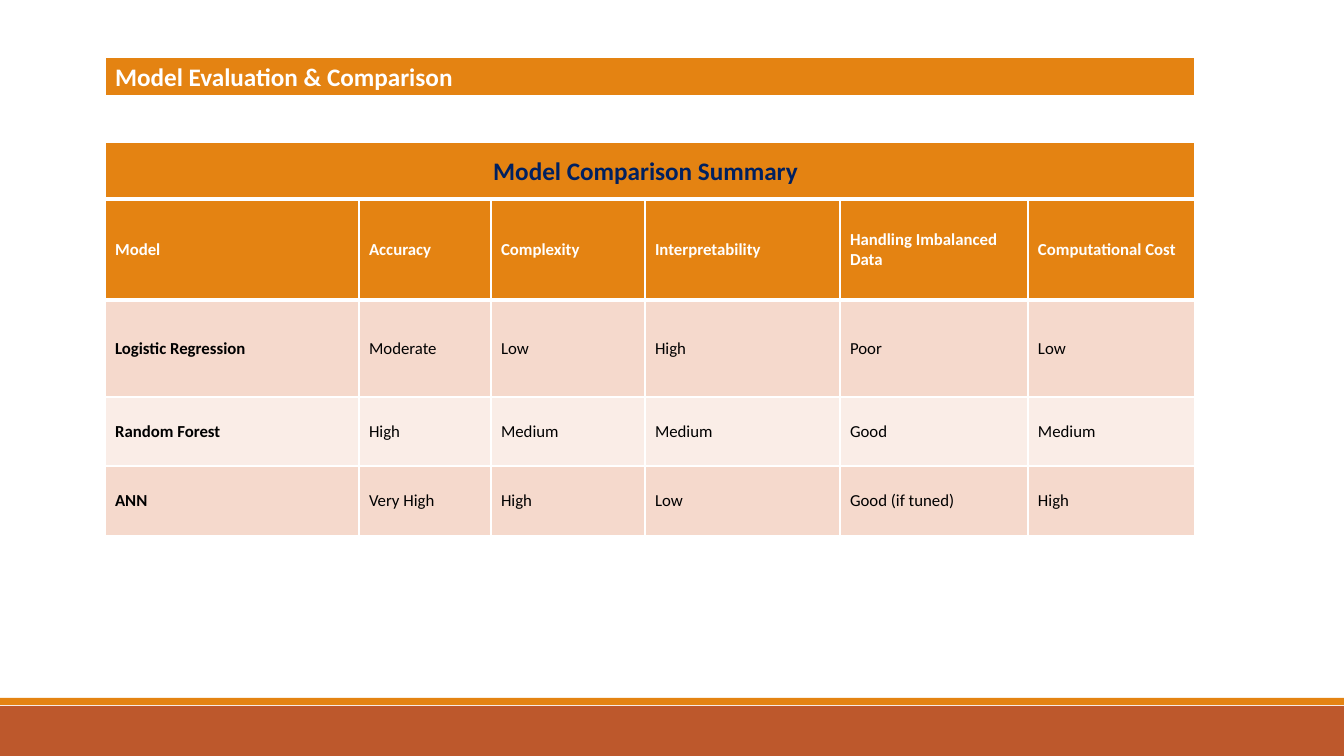
from lxml import etree
from pptx import Presentation
from pptx import util as u
from pptx.dml.color import RGBColor
from pptx.enum import shapes, text
from pptx.oxml.ns import qn

WHITE = RGBColor(0xFF, 0xFF, 0xFF)
BLACK = RGBColor(0x00, 0x00, 0x00)
NAVY = RGBColor(0x00, 0x20, 0x60)
ORANGE = RGBColor(0xE4, 0x83, 0x12)
RUST = RGBColor(0xBD, 0x58, 0x2C)
PEACH = RGBColor(0xF5, 0xD9, 0xCC)
BLUSH = RGBColor(0xFA, 0xED, 0xE7)

WIDE, HIGH = 1344, 756
LEFT, WIDTH = 105, 1090
COLS = [254, 132, 154, 195, 188, 167]
ROWS = [100, 97, 69, 70]
MODELS = [
    ["Model", "Accuracy", "Complexity", "Interpretability",
     "Handling Imbalanced Data", "Computational Cost"],
    ["Logistic Regression", "Moderate", "Low", "High", "Poor", "Low"],
    ["Random Forest", "High", "Medium", "Medium", "Good", "Medium"],
    ["ANN", "Very High", "High", "Low", "Good (if tuned)", "High"],
]


def px(n):
    return u.Emu(round(n * 914400 / 100.8))


class Page:
    font = "Calibri"

    def __init__(self, deck):
        self.slide = deck.slides.add_slide(deck.slide_layouts[6])

    def style(self, para, size, color, bold, align=text.PP_ALIGN.LEFT):
        para.alignment = align
        font = para.font
        font.name, font.size, font.bold = self.font, u.Pt(size), bold
        font.color.rgb = color

    def band(self, top, height, color):
        """Draw a strip across the full width of the slide."""
        bar = self.slide.shapes.add_shape(
            shapes.MSO_SHAPE.RECTANGLE, 0, px(top), px(WIDE), px(height))
        bar.shadow.inherit = False
        bar.fill.solid()
        bar.fill.fore_color.rgb = color
        bar.line.fill.background()

    def label(self, words, top, width, height):
        """Add a right-aligned navy heading."""
        frame = self.slide.shapes.add_textbox(
            px(LEFT), px(top), px(width), px(height)).text_frame
        frame.word_wrap = True
        frame.auto_size = text.MSO_AUTO_SIZE.SHAPE_TO_FIT_TEXT
        frame.text = words
        self.style(frame.paragraphs[0], 18, NAVY, True, text.PP_ALIGN.RIGHT)

    def edge(self, cell, top, bottom):
        """Give a cell white borders, with the top and bottom widths in points."""
        props = cell._tc.get_or_add_tcPr()
        for side, width in zip("LRTB", (1, 1, top, bottom)):
            line = etree.SubElement(props, qn("a:ln" + side), w=str(u.Pt(width)))
            fill = etree.SubElement(line, qn("a:solidFill"))
            etree.SubElement(fill, qn("a:srgbClr"), val=str(WHITE))

    def grid(self, top, cols, rows, data, size=12, anchor=text.MSO_ANCHOR.MIDDLE):
        """Add a table whose first row is a header."""
        table = self.slide.shapes.add_table(
            len(rows), len(cols), px(LEFT), px(top),
            px(sum(cols)), px(sum(rows))).table
        for col, width in zip(table.columns, cols):
            col.width = px(width)
        for r, height in enumerate(rows):
            table.rows[r].height = px(height)
            for c, words in enumerate(data[r]):
                cell = table.cell(r, c)
                cell.text = words
                cell.vertical_anchor = anchor
                self.edge(cell, 3 if r == 1 else 1, 3 if r == 0 else 1)
                cell.fill.solid()
                cell.fill.fore_color.rgb = (
                    ORANGE if r == 0 else PEACH if r % 2 else BLUSH)
                self.style(cell.text_frame.paragraphs[0], size,
                           BLACK if r else WHITE, r == 0 or c == 0)


def main():
    deck = Presentation()
    deck.slide_width, deck.slide_height = px(WIDE), px(HIGH)
    page = Page(deck)
    page.band(706, 50, RUST)
    page.band(698, 7, ORANGE)
    page.grid(200, COLS, ROWS, MODELS)
    page.grid(142, [WIDTH], [57], [[""]], 18)
    page.label("Model Comparison Summary", 150, 703, 40)
    page.grid(57, [WIDTH], [40], [["Model Evaluation & Comparison"]], 18,
              text.MSO_ANCHOR.TOP)
    deck.save("out.pptx")


if __name__ == "__main__":
    main()
